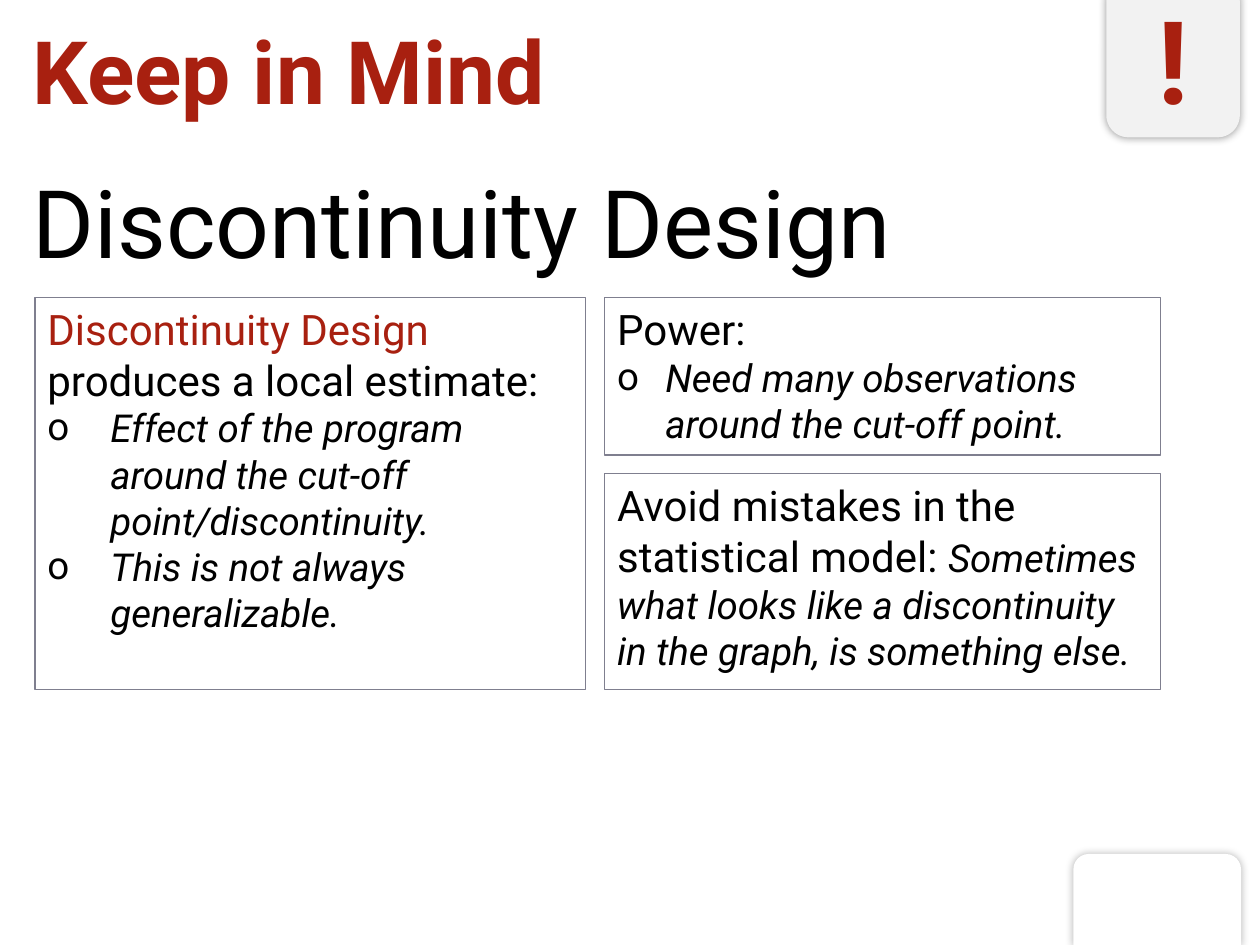
"""Builds the "Keep in Mind" slide on discontinuity design."""
from lxml import etree
from pptx import Presentation
from pptx.dml.color import RGBColor
from pptx.enum import shapes, text
from pptx.oxml import ns
from pptx.util import Pt

RED = RGBColor(0xA8, 0x20, 0x10)
BLACK = RGBColor(0, 0, 0)
WHITE = RGBColor(0xFF, 0xFF, 0xFF)
PALE_GREY = RGBColor(0xF2, 0xF2, 0xF2)
BORDER = RGBColor(0x7F, 0x7F, 0x8F)


def add_text(paragraph, content, size=24, color=BLACK, bold=False, italic=False,
             align=text.PP_ALIGN.LEFT, hang=0):
    paragraph.alignment = align
    if hang:
        properties = paragraph._p.get_or_add_pPr()
        properties.set("marL", str(Pt(hang)))
        properties.set("indent", str(-Pt(hang)))
        etree.SubElement(properties, ns.qn("a:buFont"), typeface="Roboto")
        etree.SubElement(properties, ns.qn("a:buChar"), char="o")
    run = paragraph.add_run()
    run.text = content
    run.font.name = "Roboto"
    run.font.size = Pt(size)
    run.font.bold = bold
    run.font.italic = italic
    run.font.color.rgb = color


def add_tab(preset, left, top, width, height, fill, opacity):
    tab = slide.shapes.add_shape(preset, Pt(left), Pt(top), Pt(width), Pt(height))
    tab.fill.solid()
    tab.fill.fore_color.rgb = fill
    tab.line.fill.background()
    tab.shadow.inherit = False
    effects = tab._element.spPr.find(ns.qn("a:effectLst"))
    glow = etree.SubElement(effects, ns.qn("a:outerShdw"), blurRad=str(Pt(5)),
                            dist="0", dir="0", algn="ctr", rotWithShape="0")
    tint = etree.SubElement(glow, ns.qn("a:srgbClr"), val=str(BLACK))
    etree.SubElement(tint, ns.qn("a:alpha"), val=str(opacity * 1000))
    return tab


deck = Presentation()
deck.slide_width, deck.slide_height = Pt(720), Pt(540)
slide = deck.slides.add_slide(deck.slide_layouts[5])

add_tab(shapes.MSO_SHAPE.ROUND_2_SAME_RECTANGLE, 613.4, 488, 95.8, 52.5, WHITE, 30)

heading = slide.shapes.title
heading.left, heading.top, heading.width, heading.height = Pt(11.5), Pt(5.8), Pt(602), Pt(67.7)
heading.text_frame.vertical_anchor = text.MSO_ANCHOR.MIDDLE
add_text(heading.text_frame.paragraphs[0], "Keep in Mind", size=50, color=RED, bold=True)

topic = slide.shapes.add_textbox(Pt(11.5), Pt(90), Pt(509), Pt(72.7))
topic.text_frame.word_wrap = False
add_text(topic.text_frame.paragraphs[0], "Discontinuity Design", size=54)

point = {"size": 22, "italic": True}
panels = [
    (20, 170, 314.6, 224, [
        [("Discontinuity Design ", {"color": RED}), ("produces a local estimate:", {})],
        [("Effect of the program around the cut-off point/discontinuity.", {**point, "hang": 36})],
        [("This is not always generalizable.", {**point, "hang": 36})],
    ]),
    (345.6, 170, 317.5, 90, [
        [("Power:", {})],
        [("Need many observations around the cut-off point.", {**point, "hang": 27.5})],
    ]),
    (345.6, 270.7, 317.5, 123.3, [
        [("Avoid mistakes in the statistical model: ", {}),
         ("Sometimes what looks like a discontinuity in the graph, is something else.", point)],
    ]),
]
for left, top, width, height, paragraphs in panels:
    panel = slide.shapes.add_shape(shapes.MSO_SHAPE.RECTANGLE, Pt(left), Pt(top), Pt(width), Pt(height))
    panel.fill.solid()
    panel.fill.fore_color.rgb = WHITE
    panel.line.color.rgb = BORDER
    panel.line.width = Pt(0.75)
    panel.shadow.inherit = False
    frame = panel.text_frame
    frame.word_wrap = True
    frame.vertical_anchor = text.MSO_ANCHOR.TOP
    for index, runs in enumerate(paragraphs):
        paragraph = frame.add_paragraph() if index else frame.paragraphs[0]
        for content, style in runs:
            add_text(paragraph, content, **style)

alert = add_tab(shapes.MSO_SHAPE.ROUNDED_RECTANGLE, 632.2, -11.5, 76.3, 90, PALE_GREY, 40)
alert.text_frame.vertical_anchor = text.MSO_ANCHOR.MIDDLE
add_text(alert.text_frame.paragraphs[0], "!", size=66, color=RED, bold=True,
         align=text.PP_ALIGN.CENTER)

deck.save("out.pptx")
